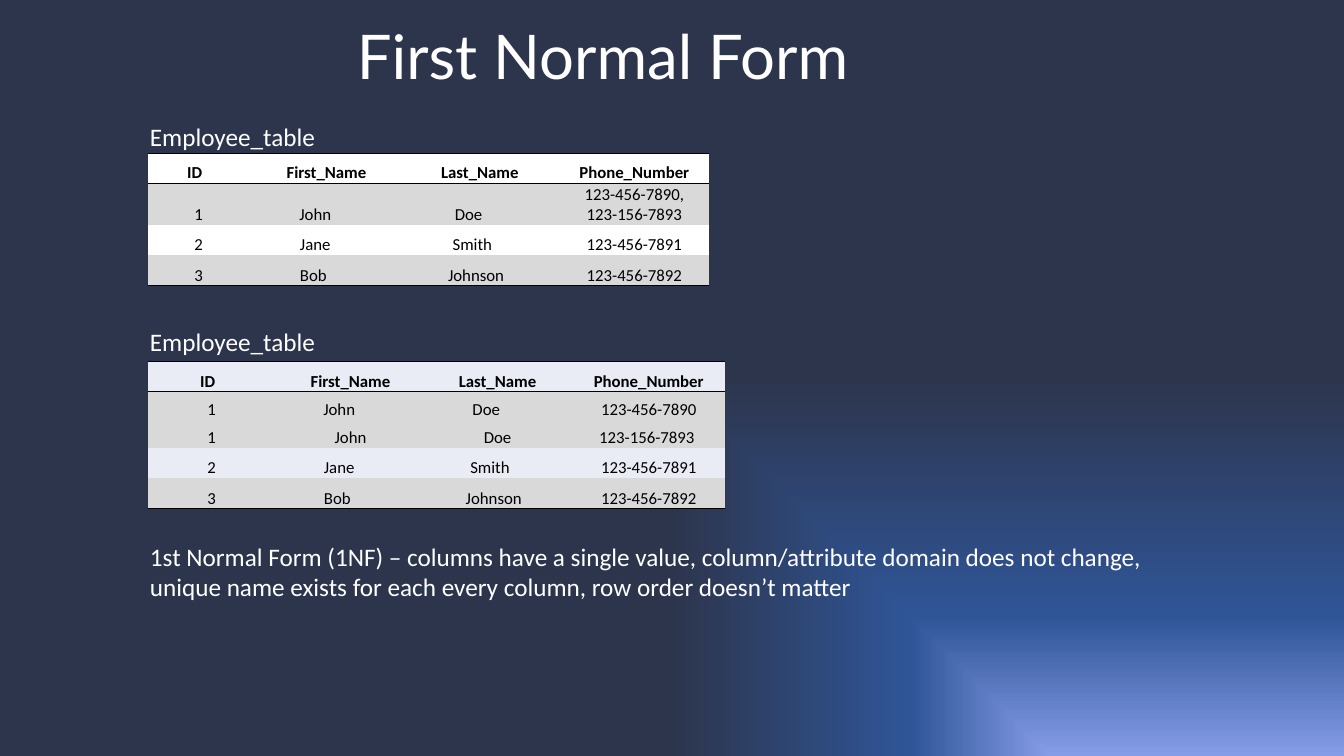
import pptx
import pptx.util
import pptx.oxml
import pptx.oxml.ns
import pptx.dml.color
import pptx.enum.text

Pt = pptx.util.Pt
ALIGN = pptx.enum.text.PP_ALIGN
COLORS = {
    "white": "FFFFFF", "black": "000000", "grey": "D9D9D9", "lavender": "E9EBF5",
    "glow": "859CE7", "blue": "2F5597", "navy": "2D354D",
}
BACKGROUND_STOPS = [(0, "glow"), (37, "blue"), (100, "navy")]

# text, (left, top, width, height), wrap, alignment, font
TEXTS = [
    ("First Normal Form", (190.8, 9.4, 479.5, 60.5), True, ALIGN.CENTER,
     {"name": "Lato", "size": Pt(44)}),
    ("Employee_table", (100, 82.8, 134, 28.8), False, ALIGN.LEFT,
     {"name": "Calibri", "size": Pt(18)}),
    ("Employee_table", (100, 229.7, 134, 28.8), False, ALIGN.LEFT,
     {"name": "Calibri", "size": Pt(18)}),
    ("1st Normal Form (1NF) – columns have a single value, column/attribute domain "
     "does not change, unique name exists for each every column, row order doesn’t matter",
     (100, 383, 776.9, 51), True, ALIGN.LEFT, {"name": "Calibri", "size": Pt(18)}),
]

# Each row: cell texts, then the extra right (+) or left (-) inset of each cell
HEADER = (["ID", "First_Name", "Last_Name", "Phone_Number"], [5.4, 0, 0, -2.7])
JANE = (["2", "Jane", "Smith", "123-456-7891"], [0, 16.2, 10.8, -2.7])
BOB = (["3", "Bob", "Johnson", "123-456-7892"], [0, 18.9, 5.4, -2.7])
JOHN_INSETS = [0, 16.2, 16.2, -2.7]
TABLES = [
    {"left": 105.8, "top": 109.5, "light": "white",
     "cols": [72, 111, 108, 110], "heights": [21.5, 29.3, 21.5, 21.5],
     "rows": [HEADER,
              (["1", "John", "Doe", "123-456-7890,\n123-156-7893"], JOHN_INSETS),
              JANE, BOB]},
    {"left": 105.8, "top": 258.2, "light": "lavender",
     "cols": [90.6, 108, 102, 111.4], "heights": [21.6, 20.2, 20.2, 21.6, 21.6],
     "rows": [HEADER,
              (["1", "John", "Doe", "123-456-7890"], JOHN_INSETS),
              (["1", "John", "Doe", "123-156-7893"], [0, 0, 0, 0]),
              JANE, BOB]},
]
NS = pptx.oxml.ns.nsdecls("a", "p")


def rgb(name):
    return pptx.dml.color.RGBColor.from_string(COLORS[name])


def set_attrs(obj, values):
    for name, value in values.items():
        setattr(obj, name, value)


def set_background(s):
    """Fill the slide with a gradient spreading from the bottom right corner."""
    stops = "".join(
        f'<a:gs pos="{pos * 1000}"><a:srgbClr val="{COLORS[color]}"/></a:gs>'
        for pos, color in BACKGROUND_STOPS)
    s.element.cSld.insert(0, pptx.oxml.parse_xml(
        f'<p:bg {NS}><p:bgPr><a:gradFill rotWithShape="1"><a:gsLst>{stops}</a:gsLst>'
        '<a:path path="rect"><a:fillToRect l="100000" t="100000"/></a:path>'
        '</a:gradFill><a:effectLst/></p:bgPr></p:bg>'))


def set_borders(cell, ruled):
    """Draw a thin black line on the ruled sides (T, B) and none elsewhere."""
    black = f'<a:solidFill><a:srgbClr val="{COLORS["black"]}"/></a:solidFill>'
    tc_pr = cell._tc.get_or_add_tcPr()
    for i, side in enumerate("LRTB"):
        line = black if side in ruled else "<a:noFill/>"
        tc_pr.insert(i, pptx.oxml.parse_xml(
            f'<a:ln{side} {NS} w="{Pt(0.5)}">{line}</a:ln{side}>'))


def add_text(s, text, box, wrap, align, font):
    tf = s.shapes.add_textbox(*map(Pt, box)).text_frame
    set_attrs(tf, {"word_wrap": wrap,
                   "auto_size": pptx.enum.text.MSO_AUTO_SIZE.SHAPE_TO_FIT_TEXT})
    p = tf.paragraphs[0]
    p.alignment = align
    r = p.add_run()
    r.text = text
    set_attrs(r.font, font)
    r.font.color.rgb = rgb("white")


def fill_cell(cell, text, inset, fill, bold, ruled):
    cell.text = text
    set_attrs(cell, {
        "margin_left": Pt(0.75 + max(-inset, 0)), "margin_right": Pt(0.75 + max(inset, 0)),
        "margin_top": Pt(0.75), "margin_bottom": 0,
        "vertical_anchor": pptx.enum.text.MSO_ANCHOR.BOTTOM})
    cell.fill.solid()
    cell.fill.fore_color.rgb = rgb(fill)
    set_borders(cell, ruled)
    for p in cell.text_frame.paragraphs:
        p.alignment = ALIGN.CENTER
        for r in p.runs:
            set_attrs(r.font, {"name": "Calibri", "size": Pt(12), "bold": bold})
            r.font.color.rgb = rgb("black")


def add_employee_table(s, data):
    rows, cols, heights = data["rows"], data["cols"], data["heights"]
    table = s.shapes.add_table(
        len(rows), len(cols), Pt(data["left"]), Pt(data["top"]),
        Pt(sum(cols)), Pt(sum(heights))).table
    set_attrs(table, {"first_row": False, "horz_banding": False})
    for column, width in zip(table.columns, cols):
        column.width = Pt(width)
    for i, (texts, insets) in enumerate(rows):
        table.rows[i].height = Pt(heights[i])
        odd_id = texts[0] in ("1", "3")
        ruled = ("T" if i < 2 else "") + ("B" if i in (0, len(rows) - 1) else "")
        for j, (text, inset) in enumerate(zip(texts, insets)):
            fill_cell(table.cell(i, j), text, inset,
                      "grey" if odd_id else data["light"], i == 0, ruled)


def main():
    prs = pptx.Presentation()
    set_attrs(prs, {"slide_width": Pt(960), "slide_height": Pt(540)})
    s = prs.slides.add_slide(prs.slide_layouts[6])
    set_background(s)
    for data in TABLES:
        add_employee_table(s, data)
    for text in TEXTS:
        add_text(s, *text)
    prs.save("out.pptx")


if __name__ == "__main__":
    main()
